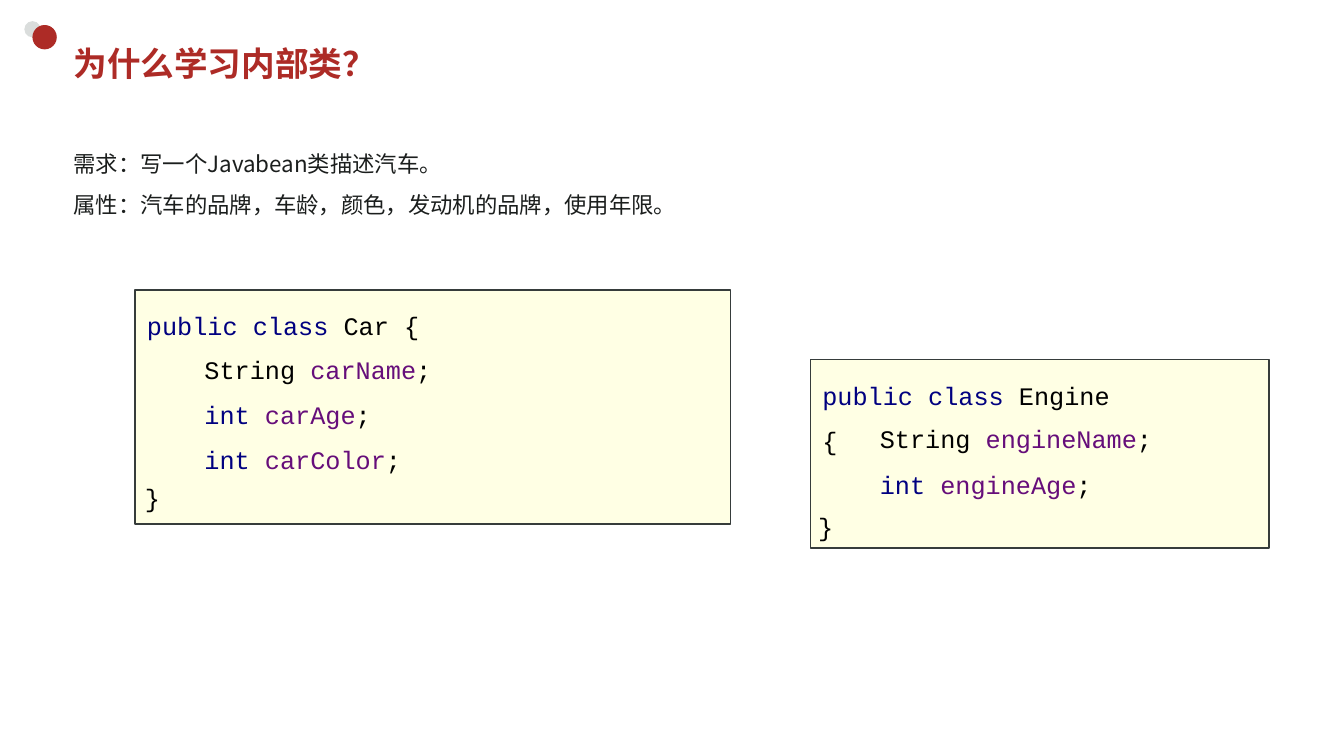
from lxml.etree import SubElement
from pptx import Presentation
from pptx.dml.color import RGBColor
from pptx.enum.shapes import MSO_SHAPE
from pptx.enum.text import MSO_ANCHOR
from pptx.oxml.ns import qn
from pptx.util import Pt

RED = RGBColor(0xAD, 0x2B, 0x26)
GREY = RGBColor(0xDA, 0xDD, 0xDC)
CREAM = RGBColor(0xFF, 0xFF, 0xE4)
BORDER = RGBColor(0x36, 0x3C, 0x3B)
INK = RGBColor(0x1B, 0x1E, 0x1D)
BLACK = RGBColor(0x00, 0x00, 0x00)
KEYWORD = RGBColor(0x00, 0x00, 0x80)
FIELD = RGBColor(0x66, 0x0E, 0x7A)

CODE_FONT = "Courier New"
TEXT_FONT = "Noto Sans CJK JP"


class SlideBuilder:
    def __init__(self, slide):
        self.shapes = slide.shapes

    def shape(self, kind, x, y, w, h, fill, line=None):
        s = self.shapes.add_shape(kind, Pt(x), Pt(y), Pt(w), Pt(h))
        s.shadow.inherit = False
        s.fill.solid()
        s.fill.fore_color.rgb = fill
        if line is None:
            s.line.fill.background()
        else:
            s.line.color.rgb = line
            s.line.width = Pt(1)

    def text(self, x, y, w, h, lines, size, font=CODE_FONT, spacing=1.5,
             bold=False, anchor=MSO_ANCHOR.TOP):
        """Add a text box; each line is a list of (text, colour) runs."""
        tf = self.shapes.add_textbox(Pt(x), Pt(y), Pt(w), Pt(h)).text_frame
        tf.word_wrap = True
        tf.vertical_anchor = anchor
        for i, runs in enumerate(lines):
            p = tf.add_paragraph() if i else tf.paragraphs[0]
            p.line_spacing = spacing
            p.font.size = Pt(size)
            p.font.bold = bold
            p.font.name = font
            east_asian = SubElement(p._p.pPr.find(qn("a:defRPr")), qn("a:ea"))
            east_asian.set("typeface", TEXT_FONT)
            for text, color in runs:
                r = p.add_run()
                r.text = text
                r.font.color.rgb = color

    def code_card(self, x, y, w, h, name, fields, brace_x, brace_y):
        """Draw a class listing; fields are (type, colour, name) triples."""
        self.shape(MSO_SHAPE.RECTANGLE, x, y, w, h, CREAM, BORDER)
        header = [("public class ", KEYWORD), (f"{name} {{", BLACK)]
        self.text(x + 1.4, y, 231, 36.7, [header], 18)
        self.text(brace_x, brace_y, 31, 29, [[("}", BLACK)]], 18, spacing=1)
        lines = [[(f"{kind} ", color), (field, FIELD), (";", BLACK)]
                 for kind, color, field in fields]
        self.text(x + 42.5, y + 31.3, 316, 3.6 + 32.9 * len(fields), lines, 18)


def main():
    prs = Presentation()
    prs.slide_width, prs.slide_height = Pt(960), Pt(540)
    b = SlideBuilder(prs.slides.add_slide(prs.slide_layouts[6]))

    b.shape(MSO_SHAPE.OVAL, 17.4, 15.1, 11.6, 11.6, GREY)
    b.shape(MSO_SHAPE.OVAL, 23.2, 17.9, 17.4, 17.4, RED)
    b.text(45.4, 26.6, 845, 37.4, [[("为什么学习内部类？", RED)]], 24,
           spacing=1, bold=True, anchor=MSO_ANCHOR.MIDDLE)
    b.text(45.4, 94.3, 603, 62.6,
           [[("需求：写一个Javabean类描述汽车。", INK)],
            [("属性：汽车的品牌，车龄，颜色，发动机的品牌，使用年限。", INK)]],
           16, font=TEXT_FONT)

    b.code_card(578.9, 257, 327.6, 134.6, "Engine",
                [("String", BLACK, "engineName"),
                 ("int", KEYWORD, "engineAge")], 577.4, 361.4)
    b.code_card(96.5, 207.2, 425.5, 167.2, "Car",
                [("String", BLACK, "carName"),
                 ("int", KEYWORD, "carAge"),
                 ("int", KEYWORD, "carColor")], 96.5, 340.6)

    prs.save("out.pptx")


if __name__ == "__main__":
    main()
